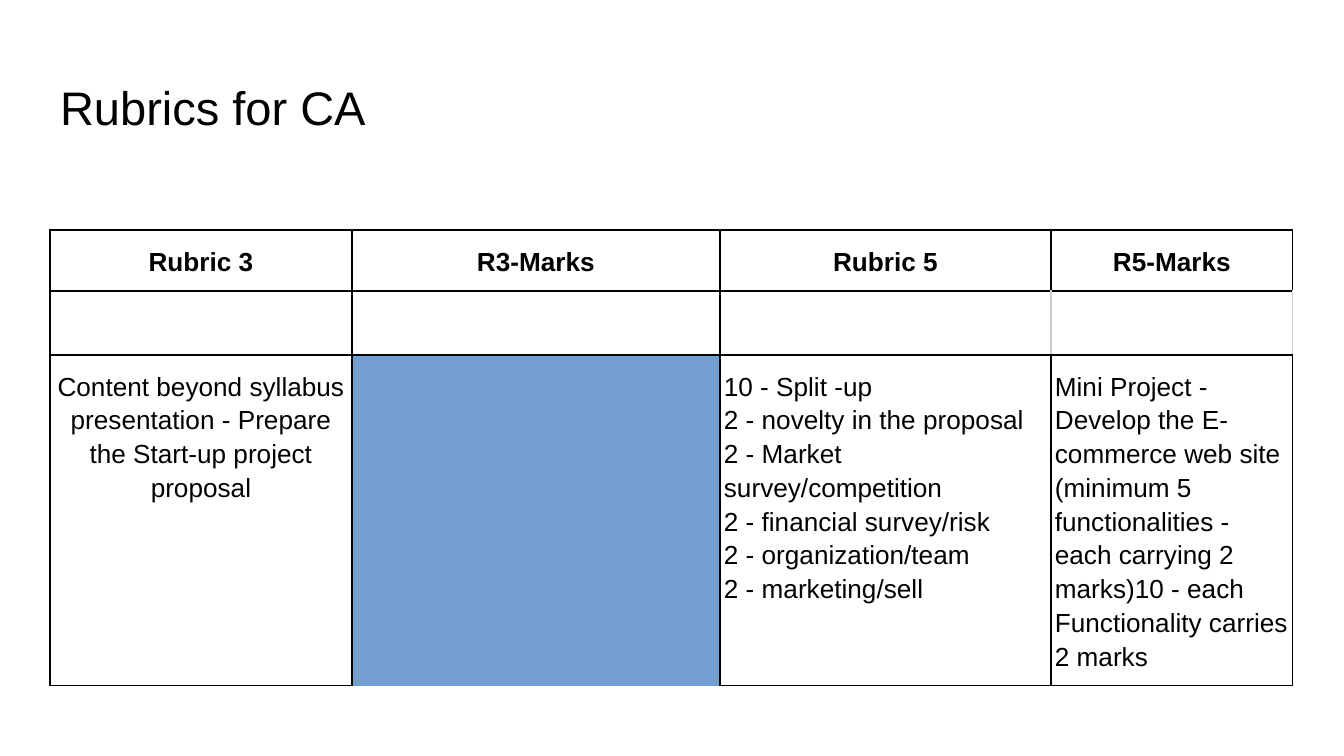
from dataclasses import dataclass

from lxml.etree import SubElement
from pptx import Presentation
from pptx.dml.color import RGBColor
from pptx.enum.text import MSO_ANCHOR, MSO_AUTO_SIZE, PP_ALIGN
from pptx.oxml.ns import qn
from pptx.util import Emu, Pt


@dataclass(frozen=True)
class Theme:
    font: str = "Arial"
    ink: str = "000000"
    paper: str = "FFFFFF"
    pale_line: str = "CCCCCC"
    title_size: float = 25.2
    body_size: float = 14
    border: float = 0.75
    line_spacing: float = 1.15


THEME = Theme()
EMU_PER_PX = 914400 / 134.4

# Table grid; the first two columns are merged in every row
COLUMNS = [176, 126, 368, 331, 242]
ROWS = [61, 64, 331]
TEXT_COLUMNS = [0, 2, 3, 4]

HEADINGS = ["Rubric 3", "R3-Marks", "Rubric 5", "R5-Marks"]
DETAILS = [
    "Content beyond syllabus presentation - Prepare the Start-up project proposal",
    "10 - Split -up\n2 - novelty in the proposal\n2 - Market survey/competition\n"
    "2 - financial survey/risk\n2 - organization/team\n2 - marketing/sell",
    "Mini Project - Develop the E-commerce web site (minimum 5 functionalities - "
    "each carrying 2 marks)",
    "10 - each Functionality carries 2 marks",
]
CONTENT = [HEADINGS, [""] * 4, DETAILS]
PALE_EDGES = {(1, 3): "R", (1, 4): "LR"}


def px(length):
    return Emu(round(length * EMU_PER_PX))


def style_font(font, size, bold=False):
    font.name = THEME.font
    font.size = Pt(size)
    font.bold = bold
    font.color.rgb = RGBColor.from_string(THEME.ink)


def add_title(page, text):
    title = page.shapes.title
    title.left, title.top, title.width, title.height = px(46), px(64), px(1253), px(85)
    frame = title.text_frame
    frame.text = text
    frame.auto_size = MSO_AUTO_SIZE.NONE
    frame.vertical_anchor = MSO_ANCHOR.TOP
    frame.margin_left = frame.margin_right = px(14)
    frame.margin_top = frame.margin_bottom = px(14)
    para = frame.paragraphs[0]
    para.alignment = PP_ALIGN.LEFT
    style_font(para.runs[0].font, THEME.title_size)


def draw_borders(cell, pale_edges):
    properties = cell._tc.get_or_add_tcPr()
    for edge in "LRTB":
        line = SubElement(properties, qn(f"a:ln{edge}"), w=str(Pt(THEME.border)))
        fill = SubElement(line, qn("a:solidFill"))
        color = THEME.pale_line if edge in pale_edges else THEME.ink
        SubElement(fill, qn("a:srgbClr"), val=color)


def format_cell(cell, pale_edges):
    draw_borders(cell, pale_edges)
    cell.fill.solid()
    cell.fill.fore_color.rgb = RGBColor.from_string(THEME.paper)
    cell.margin_left = cell.margin_right = px(4)
    cell.margin_top = cell.margin_bottom = px(13)
    cell.vertical_anchor = MSO_ANCHOR.TOP


def write_cell(cell, text, bold, centered):
    cell.text_frame.text = text
    for para in cell.text_frame.paragraphs:
        para.alignment = PP_ALIGN.CENTER if centered else PP_ALIGN.LEFT
        para.line_spacing = THEME.line_spacing
        style_font(para.font, THEME.body_size, bold)
        for span in para.runs:
            style_font(span.font, THEME.body_size, bold)


def add_rubric_table(page):
    frame = page.shapes.add_table(
        len(ROWS), len(COLUMNS), px(50), px(230), px(sum(COLUMNS)), px(sum(ROWS))
    )
    table = frame.table
    table.first_row = table.horz_banding = False
    for column, width in zip(table.columns, COLUMNS):
        column.width = px(width)
    for row, height in zip(table.rows, ROWS):
        row.height = px(height)

    for row, texts in enumerate(CONTENT):
        table.cell(row, 0).merge(table.cell(row, 1))
        for column in range(len(COLUMNS)):
            format_cell(table.cell(row, column), PALE_EDGES.get((row, column), ""))
        for column, text in zip(TEXT_COLUMNS, texts):
            is_heading = row == 0
            write_cell(table.cell(row, column), text, is_heading, is_heading or column == 0)


def main():
    deck = Presentation()
    deck.slide_width, deck.slide_height = px(1344), px(756)
    page = deck.slides.add_slide(deck.slide_layouts[5])
    page.background.fill.solid()
    page.background.fill.fore_color.rgb = RGBColor.from_string(THEME.paper)
    add_title(page, "Rubrics for CA")
    add_rubric_table(page)
    deck.save("out.pptx")


if __name__ == "__main__":
    main()
